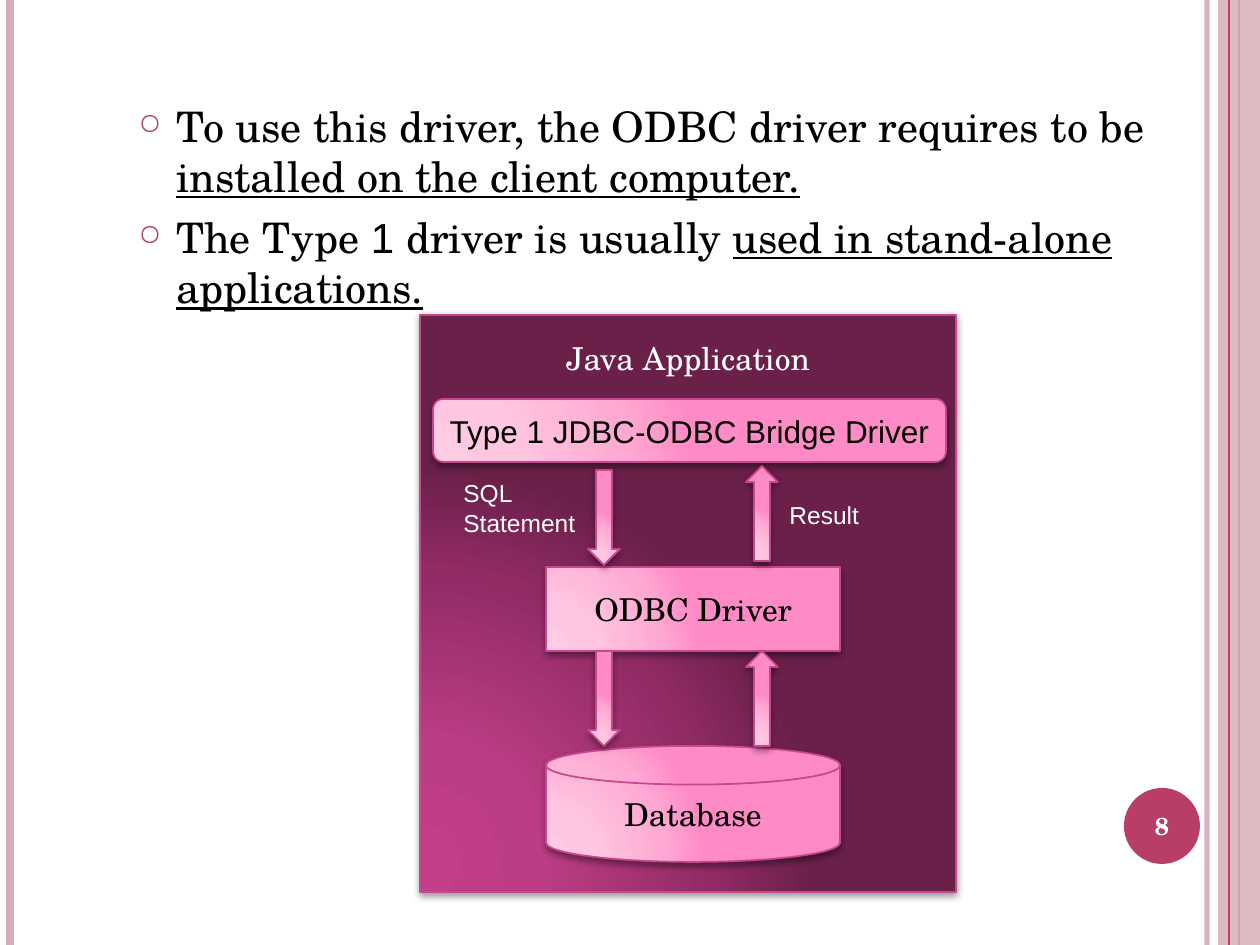
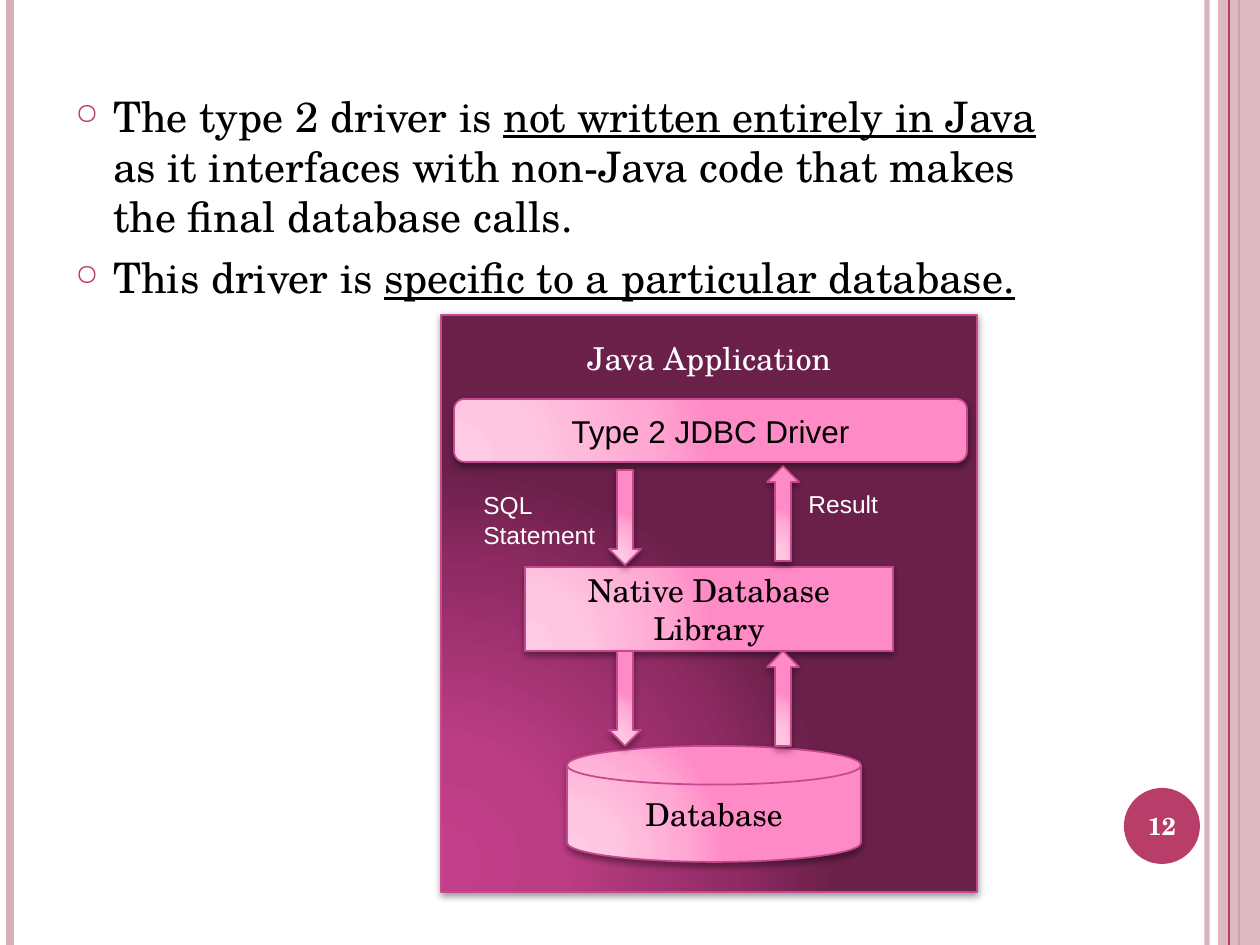
from lxml import etree
from pptx import Presentation
from pptx.dml.color import RGBColor
from pptx.enum.shapes import MSO_CONNECTOR, MSO_SHAPE
from pptx.enum.text import MSO_ANCHOR, PP_ALIGN
from pptx.oxml import parse_xml
from pptx.oxml.ns import nsdecls, qn
from pptx.util import Pt

PX = 914400 / 126
W, H = 1260, 945
RECT, ROUND, DISK = MSO_SHAPE.RECTANGLE, MSO_SHAPE.ROUNDED_RECTANGLE, MSO_SHAPE.FLOWCHART_MAGNETIC_DISK
DOWN, UP, OVAL = MSO_SHAPE.DOWN_ARROW, MSO_SHAPE.UP_ARROW, MSO_SHAPE.OVAL
STRAIGHT = MSO_CONNECTOR.STRAIGHT
LEFT, CENTER = PP_ALIGN.LEFT, PP_ALIGN.CENTER
TOP, MIDDLE = MSO_ANCHOR.TOP, MSO_ANCHOR.MIDDLE

SERIF, SANS = "TeX Gyre Schola", "Arial"
BLACK, WHITE = "000000", "FFFFFF"
ACCENT, PALE, EDGE = "B83D68", "D8AFB9", "C6488F"
DARK = ["C33F89", "BC3D84", "902B64", "6B204A"]
PINK = ["FFCBE4", "FFC6E1", "FFA8D3", "FF8BC6"]
STOPS = [0, 30, 75, 100]
RAILS = [(1207, 3, PALE, 93), (10, 4.5, PALE, 100), (1239, 1.5, ACCENT, 100), (1229, 0.75, ACCENT, 100)]

SLIDES = [
    {"number": "8", "body": (126, 94, 1105, 220), "panel_x": 420,
     "points": [
         ["To use this driver, the ODBC driver requires to be ",
          ("installed on the client computer.", SERIF, True)],
         ["The Type ", ("1", SANS, False), " driver is usually ",
          ("used in stand-alone applications.", SERIF, True)]],
     "driver": "Type 1 JDBC-ODBC Bridge Driver",
     "middle": "ODBC Driver", "middle_dx": 126, "middle_w": 294,
     "sql": (31, 472), "result": (357, 494)},
    {"number": "12", "body": (63, 84, 1029, 808), "panel_x": 441,
     "points": [
         ["The type 2 driver is ", ("not written entirely in Java", SERIF, True),
          " as it interfaces with non-Java code that makes the final database calls."],
         ["This driver is ", ("specific to a particular database.", SERIF, True)]],
     "driver": "Type 2 JDBC Driver",
     "middle": "Native Database Library", "middle_dx": 84, "middle_w": 368,
     "sql": (30, 484), "result": (355, 483)},
]


def rgb(color):
    return RGBColor.from_string(color)


def write(sp, paragraphs, size=18, color=BLACK, font=SERIF, align=LEFT,
          anchor=TOP, bold=False, wrap=True, bullet=False):
    tf = sp.text_frame
    tf.word_wrap = wrap
    tf.vertical_anchor = anchor
    for i, runs in enumerate(paragraphs):
        p = tf.add_paragraph() if i else tf.paragraphs[0]
        p.alignment = align
        for run in runs:
            text, face, underline = (run, font, False) if isinstance(run, str) else run
            r = p.add_run()
            r.text = text
            r.font.name = face
            r.font.size = Pt(size)
            r.font.bold = bold
            r.font.underline = underline
            r.font.color.rgb = rgb(color)
        if bullet:
            p.space_before = Pt(6)
            pPr = p._p.get_or_add_pPr()
            pPr.set("marL", "274320")
            pPr.set("indent", "-274320")
            clr = etree.SubElement(pPr, qn("a:buClr"))
            etree.SubElement(clr, qn("a:srgbClr"), val=ACCENT)
            etree.SubElement(pPr, qn("a:buSzPct"), val="70000")
            etree.SubElement(pPr, qn("a:buChar"), char="○")


prs = Presentation()
prs.slide_width, prs.slide_height = round(W * PX), round(H * PX)

for data in SLIDES:
    s = prs.slides.add_slide(prs.slide_layouts[6])

    for x, width, color, alpha in RAILS:
        rail = s.shapes.add_connector(STRAIGHT, round(x * PX), 0, round(x * PX), round(H * PX))
        rail.line.width = Pt(width)
        rail.line.color.rgb = rgb(color)
        etree.SubElement(rail._element.spPr, qn("a:effectLst"))
        if alpha < 100:
            clr = rail._element.spPr.find(".//" + qn("a:srgbClr"))
            etree.SubElement(clr, qn("a:alpha"), val=str(alpha * 1000))

    for kind, box, color in [(RECT, (1218, 0, 42, H), PALE), (OVAL, (1124, 788, 76, 76), ACCENT)]:
        sp = s.shapes.add_shape(kind, *[round(v * PX) for v in box])
        sp.shadow.inherit = False
        sp.fill.solid()
        sp.fill.fore_color.rgb = rgb(color)
        sp.line.fill.background()
        if kind == RECT:
            clr = sp._element.spPr.find(".//" + qn("a:srgbClr"))
            etree.SubElement(clr, qn("a:alpha"), val="87000")
            rail._element.addprevious(sp._element)

    body = s.shapes.add_textbox(*[round(v * PX) for v in data["body"]])
    write(body, data["points"], size=24, bullet=True)
    number = s.shapes.add_textbox(*[round(v * PX) for v in (1120, 790, 84, 72)])
    write(number, [[data["number"]]], size=14, color=WHITE, bold=True, align=CENTER, anchor=MIDDLE)

    parts = [
        (RECT, (0, 315, 536, 577), DARK, "Java Application", {"color": WHITE, "anchor": TOP}),
        (ROUND, (13, 399, 513, 63), PINK, data["driver"], {"font": SANS}),
        (RECT, (data["middle_dx"], 567, data["middle_w"], 84), PINK, data["middle"], {}),
        (DISK, (126, 746, 294, 116), PINK, "Database", {}),
        (DOWN, (168, 470, 32, 95), PINK, "", {}),
        (DOWN, (168, 651, 32, 95), PINK, "", {}),
        (UP, (326, 466, 32, 95), PINK, "", {}),
        (UP, (326, 651, 32, 95), PINK, "", {}),
    ]
    for kind, (dx, y, w, h), colors, text, style in parts:
        box = (data["panel_x"] + dx, y, w, h)
        sp = s.shapes.add_shape(kind, *[round(v * PX) for v in box])
        sp.line.color.rgb = rgb(EDGE)
        sp.line.width = Pt(1)
        stops = "".join(f'<a:gs pos="{pos * 1000}"><a:srgbClr val="{c}"/></a:gs>'
                        for pos, c in zip(STOPS, colors))
        sp._element.spPr.find(qn("a:prstGeom")).addnext(parse_xml(
            f'<a:gradFill {nsdecls("a")} rotWithShape="1"><a:gsLst>{stops}</a:gsLst>'
            '<a:path path="circle"><a:fillToRect l="5000" t="100000" r="120000" b="10000"/>'
            '</a:path></a:gradFill>'))
        sp.shadow.inherit = False
        dist, alpha = (20320, 42000) if colors is DARK else (25400, 40000)
        sp._element.spPr.find(qn("a:effectLst")).append(parse_xml(
            f'<a:outerShdw {nsdecls("a")} blurRad="50800" dist="{dist}" dir="5400000" '
            f'rotWithShape="0"><a:srgbClr val="{BLACK}"><a:alpha val="{alpha}"/>'
            '</a:srgbClr></a:outerShdw>'))
        if text:
            write(sp, [[text]], **{"align": CENTER, "anchor": MIDDLE, **style})
        if colors is DARK:
            sp.text_frame.margin_top = round(24 * PX)

    for lines, (dx, y), w, h in [(["SQL", "Statement"], data["sql"], 137, 72),
                                 (["Result"], data["result"], 96, 43)]:
        box = (data["panel_x"] + dx, y, w, h)
        label = s.shapes.add_textbox(*[round(v * PX) for v in box])
        write(label, [[line] for line in lines], size=14, color=WHITE, font=SANS, wrap=False)

prs.save("out.pptx")
